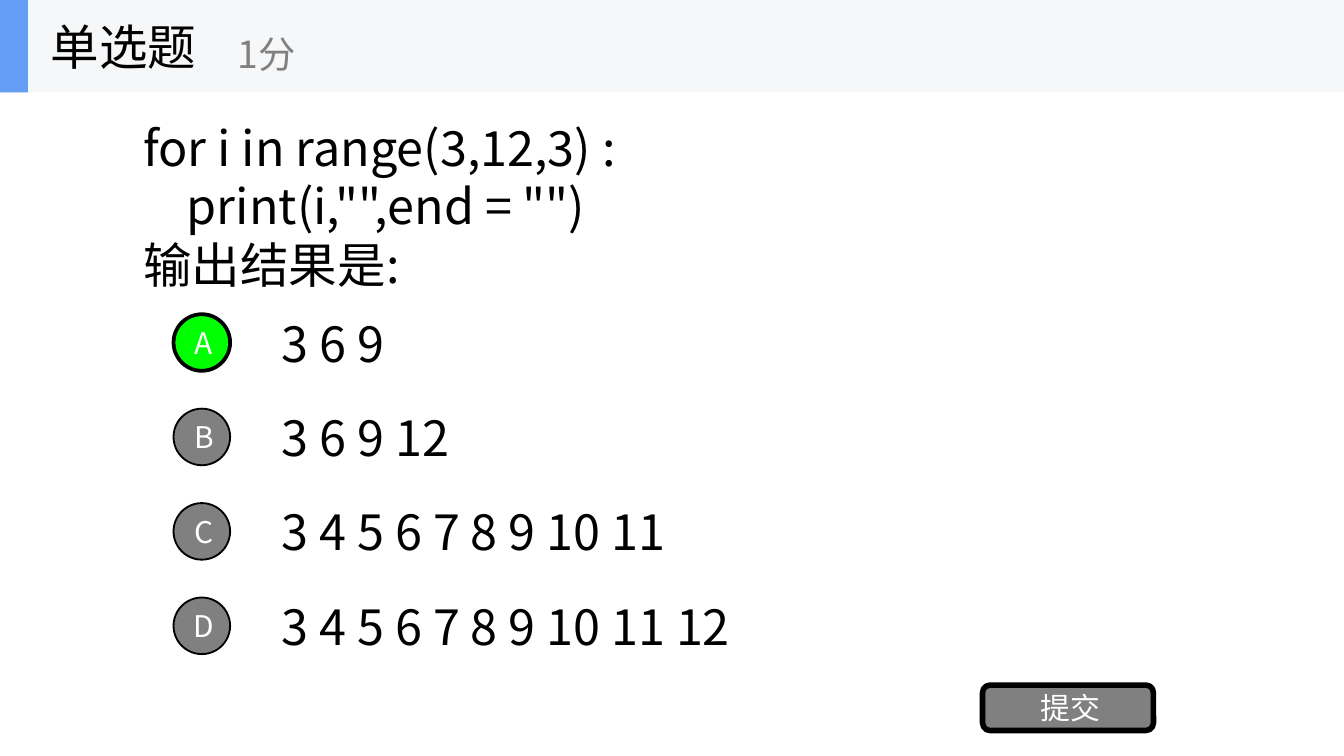
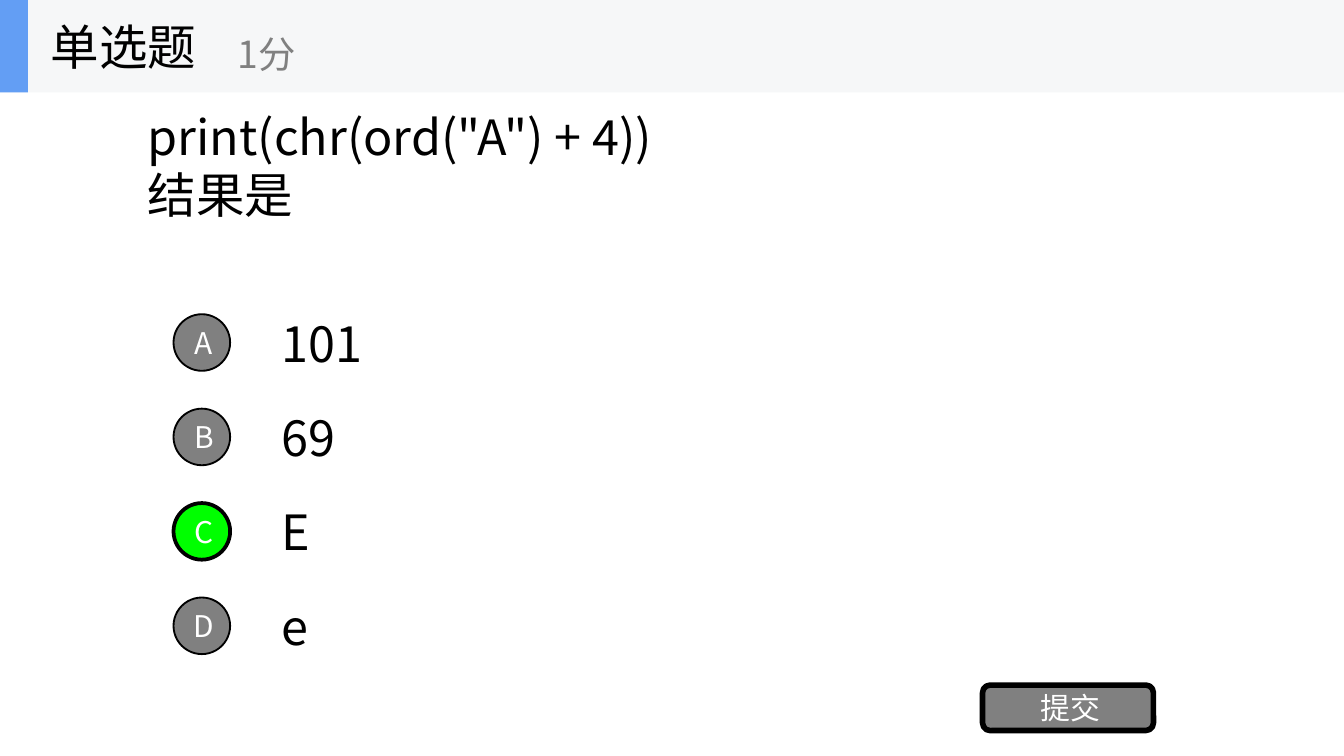
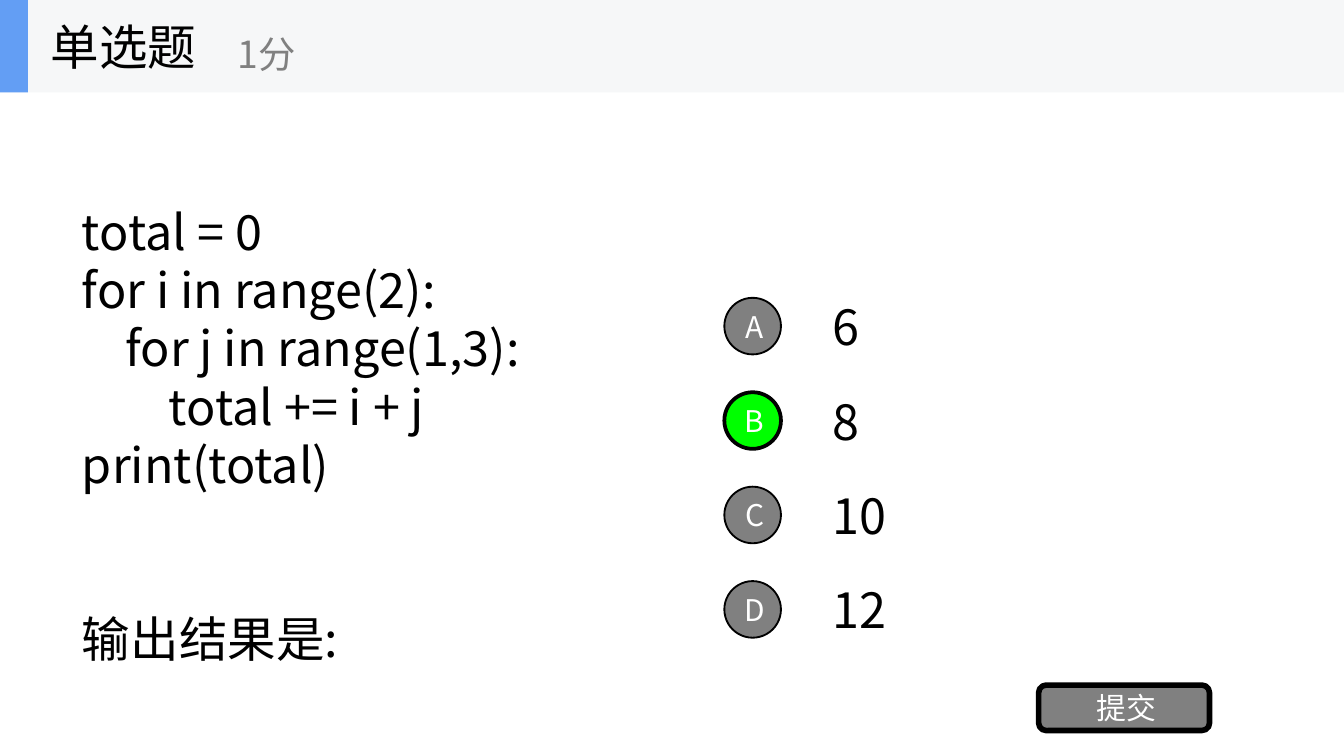
from lxml.etree import SubElement
from pptx import Presentation
from pptx.dml.color import RGBColor
from pptx.enum.shapes import MSO_SHAPE
from pptx.enum.text import MSO_ANCHOR, PP_ALIGN
from pptx.oxml.ns import qn
from pptx.util import Cm, Pt

FONT = "Noto Sans CJK SC"
BLACK = "000000"
WHITE = "FFFFFF"
GRAY = "808080"
GREEN = "00FF00"
BAND = "F6F7F8"
BLUE = "639EF4"

WIDTH, HEIGHT = 25.4, 14.29
BAND_HEIGHT = 1.75
OPTION_WIDTH, OPTION_HEIGHT, OPTION_PITCH = 17.78, 1.35, 1.785
CIRCLE = 1.07
CIRCLE_OFFSET = 1.8


def rgb(color):
    return RGBColor.from_string(color)


def format_runs(p, size, color):
    for r in p.runs:
        r.font.size = Pt(size)
        r.font.name = FONT
        r.font.color.rgb = rgb(color)
        SubElement(r.font._element, qn("a:ea"), typeface=FONT)


def add_text(shapes, text, left, top, width, height, size=26, color=BLACK, wrap=True):
    sp = shapes.add_textbox(Cm(left), Cm(top), Cm(width), Cm(height))
    tf = sp.text_frame
    tf.word_wrap = wrap
    tf.vertical_anchor = MSO_ANCHOR.MIDDLE
    tf.text = text
    for p in tf.paragraphs:
        format_runs(p, size, color)
    return tf


def add_box(shapes, kind, left, top, width, height, fill, line=0):
    """Add a filled shape; line is the width of its black outline, 0 for none."""
    sp = shapes.add_shape(kind, Cm(left), Cm(top), Cm(width), Cm(height))
    sp.shadow.inherit = False
    sp.fill.solid()
    sp.fill.fore_color.rgb = rgb(fill)
    if line:
        sp.line.color.rgb = rgb(BLACK)
        sp.line.width = Pt(line)
    else:
        sp.line.fill.background()
    return sp


def add_label(sp, text):
    """Write white centred text in a shape."""
    tf = sp.text_frame
    tf.word_wrap = True
    tf.margin_left = Cm(0.08)
    tf.margin_right = tf.margin_top = tf.margin_bottom = 0
    tf.vertical_anchor = MSO_ANCHOR.MIDDLE
    tf.text = text
    p = tf.paragraphs[0]
    p.alignment = PP_ALIGN.CENTER
    format_runs(p, 16, WHITE)


def add_header(s):
    shapes = s.shapes.add_group_shape().shapes
    add_box(shapes, MSO_SHAPE.RECTANGLE, 0, 0, WIDTH, BAND_HEIGHT, BAND)
    add_box(shapes, MSO_SHAPE.RECTANGLE, 0, 0, 0.53, BAND_HEIGHT, BLUE)
    add_text(shapes, "单选题", 0.71, 0, 5.28, BAND_HEIGHT, wrap=False)
    add_text(shapes, "1分", 4.24, 0.3, 6.35, 1.42, 20, GRAY, wrap=False)


def add_options(s, options, answer, left, top):
    """Stack the options with lettered circles, the answer's one in green."""
    for i, (letter, option) in enumerate(zip("ABCD", options)):
        y = top + i * OPTION_PITCH
        add_text(s.shapes, option, left, y, OPTION_WIDTH, OPTION_HEIGHT)
        fill, line = (GREEN, 2) if letter == answer else (GRAY, 1)
        circle = add_box(s.shapes, MSO_SHAPE.OVAL, left - CIRCLE_OFFSET,
                         y + (OPTION_HEIGHT - CIRCLE) / 2, CIRCLE, CIRCLE, fill, line)
        add_label(circle, letter)


def add_question(prs, question, place, options, answer,
                 options_left=5.08, options_top=5.8, submit_left=18.57):
    """Add a question slide and return the question's text frame."""
    s = prs.slides.add_slide(prs.slide_layouts[6])
    tf = add_text(s.shapes, question, *place)
    add_options(s, options, answer, options_left, options_top)
    submit = add_box(s.shapes, MSO_SHAPE.ROUNDED_RECTANGLE, submit_left, 12.95,
                     3.23, 0.86, GRAY, 3)
    add_label(submit, "提交")
    add_header(s)
    return tf


def main():
    prs = Presentation()
    prs.slide_width, prs.slide_height = Cm(WIDTH), Cm(HEIGHT)

    add_question(
        prs,
        'for i in range(3,12,3) :\n    print(i,"",end = "")\n输出结果是:',
        (2.46, 1.65, 20.32, 4.47),
        ["3 6 9", "3 6 9 12", "3 4 5 6 7 8 9 10 11", "3 4 5 6 7 8 9 10 11 12"], "A")

    add_question(
        prs,
        'print(chr(ord("A") + 4))\n结果是',
        (2.54, 0.89, 20.32, 4.47),
        ["101", "69", "E", "e"], "C")

    tf = add_question(
        prs,
        "total = 0\nfor i in range(2):\n    for j in range(1,3):\n"
        "        total += i + j\nprint(total)\n输出结果是:",
        (1.3, 6.53, 11.2, 4.47),
        ["6", "8", "10", "12"], "B",
        options_left=15.49, options_top=5.49, submit_left=19.63)
    tf.paragraphs[-1].space_before = Pt(62)
    tf.margin_bottom = Cm(1.23)

    prs.save("out.pptx")


if __name__ == "__main__":
    main()
